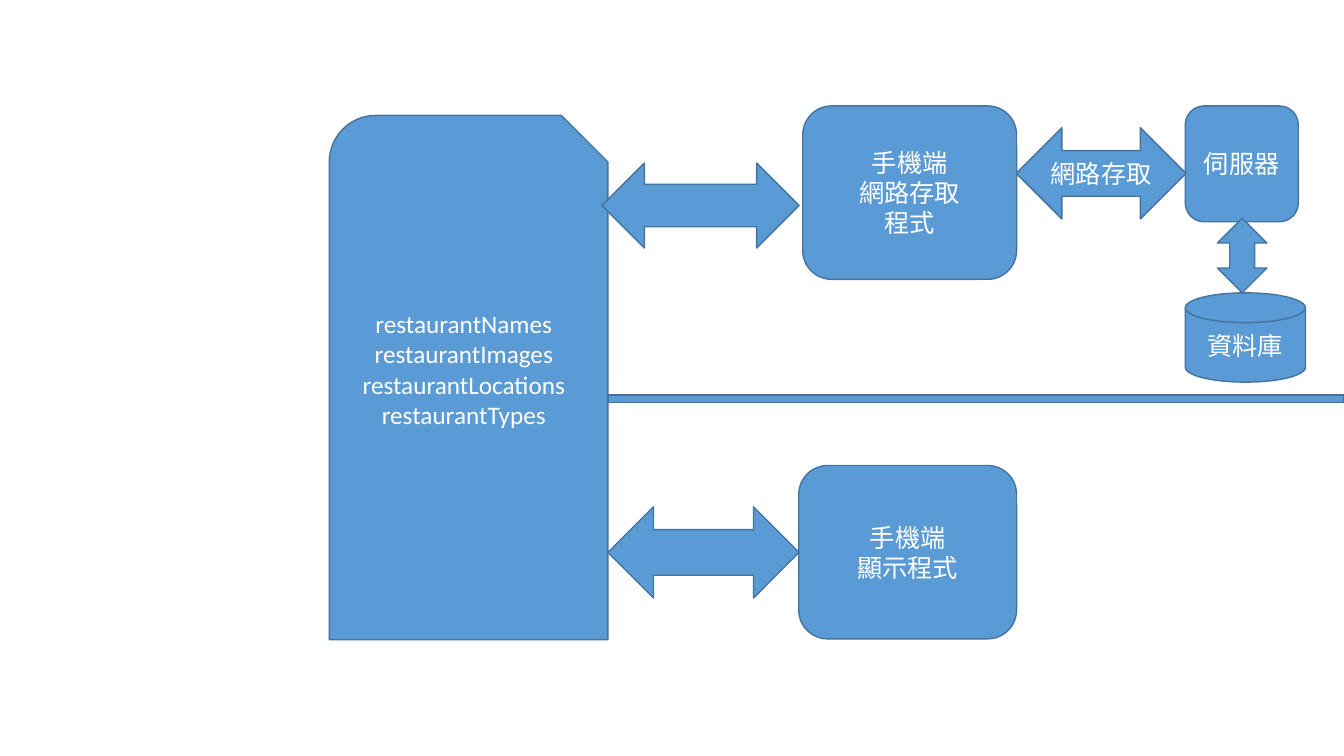
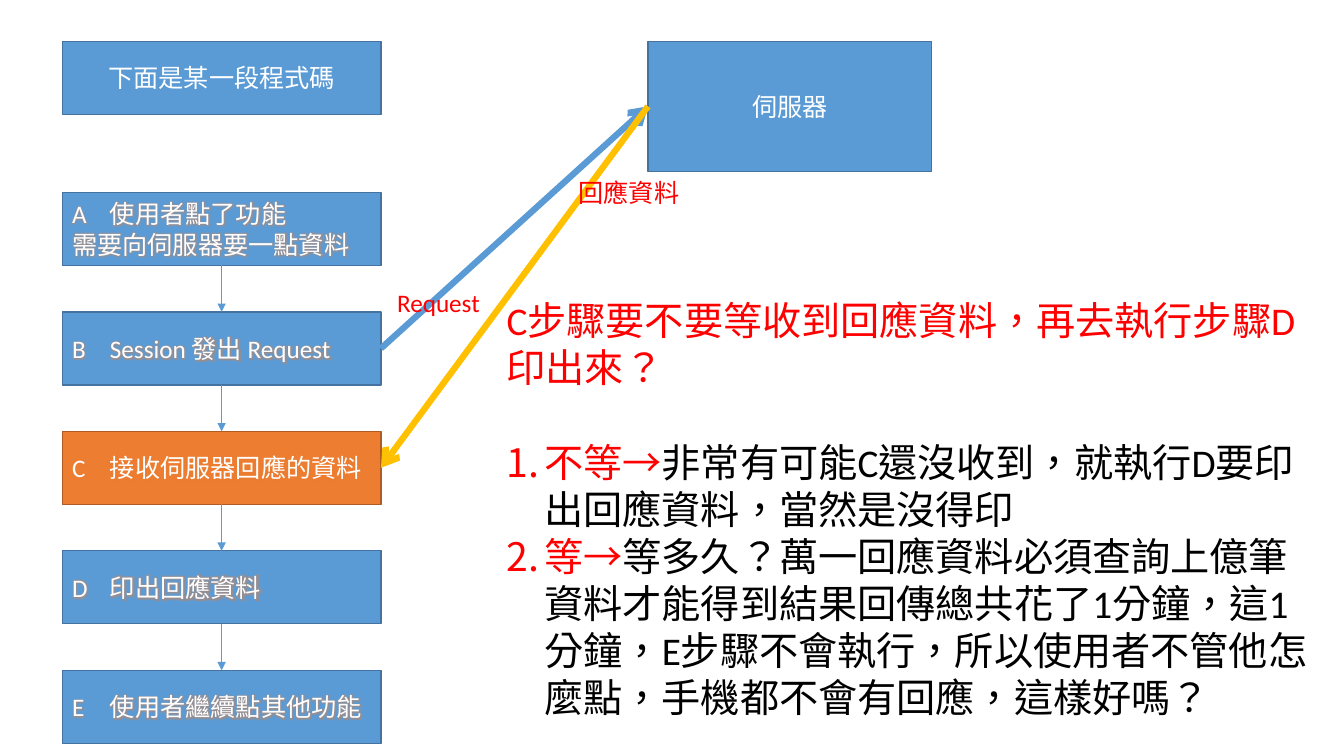
import pptx
import pptx.util
import pptx.dml.color
import pptx.enum.lang
import pptx.enum.shapes
import pptx.enum.text
import pptx.oxml
import pptx.oxml.ns
from lxml import etree

Cm, Pt, qn = pptx.util.Cm, pptx.util.Pt, pptx.oxml.ns.qn
SHAPE = pptx.enum.shapes.MSO_SHAPE
ALIGN = pptx.enum.text.PP_ALIGN
LANG = pptx.enum.lang.MSO_LANGUAGE_ID.TRADITIONAL_CHINESE

FONT = "Calibri"
BLUE, BLUE_EDGE = "5B9BD5", "43739E"
ORANGE, ORANGE_EDGE = "ED7D31", "AF5C24"
GOLD, RED, WHITE, BLACK = "FFC000", "FF0000", "FFFFFF", "000000"


def rgb(value):
    return pptx.dml.color.RGBColor.from_string(value)


def box(s, kind, at, text="", color=WHITE, size=18, align=ALIGN.CENTER,
        fill=BLUE, edge=BLUE_EDGE):
    """Add a filled shape, or a plain text box when kind is None."""
    at = [Cm(v) for v in at]
    if kind is None:
        sp = s.shapes.add_textbox(*at)
    else:
        sp = s.shapes.add_shape(kind, *at)
        sp.shadow.inherit = False
        sp.fill.solid()
        sp.fill.fore_color.rgb = rgb(fill)
        sp.line.color.rgb = rgb(edge)
        sp.line.width = Pt(1)
    tf = sp.text_frame
    tf.word_wrap = True
    tf.vertical_anchor = pptx.enum.text.MSO_ANCHOR.MIDDLE
    tf.text = text
    for p in tf.paragraphs:
        p.alignment = align
        for r in p.runs:
            r.font.name, r.font.size = FONT, Pt(size)
            r.font.color.rgb = rgb(color)
            r.font.language_id = LANG
    return sp


prs = pptx.Presentation()
prs.slide_width, prs.slide_height = Cm(33.87), Cm(19.05)
blank = prs.slide_layouts[6]

# Slide 1: data arrays between network and display code
s = prs.slides.add_slide(blank)
fields = "restaurantNames\nrestaurantImages\nrestaurantLocations\nrestaurantTypes"
for kind, at, text in [
    (SHAPE.FLOWCHART_MAGNETIC_DISK, (29.87, 7.38, 3.03, 2.25), "資料庫"),
    (SHAPE.ROUNDED_RECTANGLE, (29.87, 2.67, 2.85, 2.92), "伺服器"),
    (SHAPE.LEFT_RIGHT_ARROW, (25.61, 3.22, 4.28, 2.3), "網路存取"),
    (SHAPE.ROUNDED_RECTANGLE, (20.23, 2.67, 5.39, 4.37), "手機端\v網路存取\v程式"),
    (SHAPE.SNIP_ROUND_RECTANGLE, (8.3, 2.91, 7.02, 13.21), fields),
    (SHAPE.UP_DOWN_ARROW, (30.68, 5.5, 1.25, 1.88), ""),
    (SHAPE.ROUNDED_RECTANGLE, (20.13, 11.73, 5.49, 4.37), "手機端\v顯示程式"),
    (SHAPE.LEFT_RIGHT_ARROW, (15.32, 12.77, 4.82, 2.3), ""),
    (SHAPE.LEFT_RIGHT_ARROW, (15.17, 4.11, 4.97, 2.14), ""),
    (SHAPE.FLOWCHART_PROCESS, (15.32, 9.95, 18.55, 0.19), ""),
]:
    sp = box(s, kind, at, text)
    if text == fields:
        sp.text_frame.margin_bottom = Cm(0.9)

# Slide 2: request sequence
s = prs.slides.add_slide(blank)
LEFT, STEP_W, STEP_H, PITCH = 1.57, 8.03, 1.84, 3.01
box(s, SHAPE.RECTANGLE, (LEFT, 1.04, STEP_W, STEP_H), "下面是某一段程式碼")
server = box(s, SHAPE.RECTANGLE, (16.33, 1.04, 7.15, 3.28), "伺服器")

# Steps A to E, with glowing text
steps = []
for i, text in enumerate([
    "A\t使用者點了功能\n需要向伺服器要一點資料",
    "B\tSession 發出 Request",
    "C\t接收伺服器回應的資料",
    "D\t印出回應資料",
    "E\t使用者繼續點其他功能",
]):
    fill, edge = (ORANGE, ORANGE_EDGE) if text[0] == "C" else (BLUE, BLUE_EDGE)
    sp = box(s, SHAPE.RECTANGLE, (LEFT, 4.85 + i * PITCH, STEP_W, STEP_H), text,
             align=ALIGN.LEFT, fill=fill, edge=edge)
    for p in sp.text_frame.paragraphs:
        tabs = etree.SubElement(p._p.get_or_add_pPr(), qn("a:tabLst"))
        etree.SubElement(tabs, qn("a:tab"), pos=str(Cm(0.95)), algn="l")
        for r in p.runs:
            effects = etree.Element(qn("a:effectLst"))
            glow = etree.SubElement(effects, qn("a:glow"), rad=str(Pt(5)))
            tint = etree.SubElement(glow, qn("a:srgbClr"), val=ORANGE)
            etree.SubElement(tint, qn("a:alpha"), val="40000")
            r._r.rPr.find(qn("a:solidFill")).addnext(effects)
    steps.append(sp)

# Arrows: down the steps, then to the server and back
links = [(a, 2, b, 0, BLUE, 0.5, "triangle") for a, b in zip(steps, steps[1:])]
links.append((steps[1], 3, server, 1, BLUE, 4.5, "arrow"))
links.append((server, 1, steps[2], 3, GOLD, 4.5, "arrow"))
for start, start_side, end, end_side, color, width, head in links:
    c = s.shapes.add_connector(pptx.enum.shapes.MSO_CONNECTOR.STRAIGHT, 0, 0, 0, 0)
    c.begin_connect(start, start_side)
    c.end_connect(end, end_side)
    c.line.color.rgb = rgb(color)
    c.line.width = Pt(width)
    etree.SubElement(c.line._get_or_add_ln(), qn("a:tailEnd"), type=head)
    etree.SubElement(c._element.spPr, qn("a:effectLst"))

# Arrow labels
box(s, None, (9.6, 6.91, 2.9, 1.42), "Request", RED)
box(s, None, (14.07, 4.14, 3.56, 1.42), "回應資料", RED)

# Question and numbered answers
sp = box(s, None, (12.52, 7.21, 20.96, 11.2),
         "C步驟要不要等收到回應資料，再去執行步驟D印出來？\n不等→\n等→",
         RED, 28, ALIGN.LEFT)
answers = sp.text_frame.paragraphs[1:]
answers[0].space_before = Pt(34)
for p, text in zip(answers, [
    "非常有可能C還沒收到，就執行D要印出回應資料，當然是沒得印",
    "等多久？萬一回應資料必須查詢上億筆資料才能得到結果回傳總共花了1分鐘，"
    "這1分鐘，E步驟不會執行，所以使用者不管他怎麼點，手機都不會有回應，這樣好嗎？",
]):
    pPr = p._p.get_or_add_pPr()
    pPr.set("marL", str(Cm(0.95)))
    pPr.set("indent", str(-Cm(0.95)))
    etree.SubElement(pPr, qn("a:buAutoNum"), type="arabicPeriod")
    r = p.add_run()
    r.text = text
    r.font.name, r.font.size = FONT, Pt(28)
    r.font.color.rgb = rgb(BLACK)
    r.font.language_id = LANG

prs.save("out.pptx")
